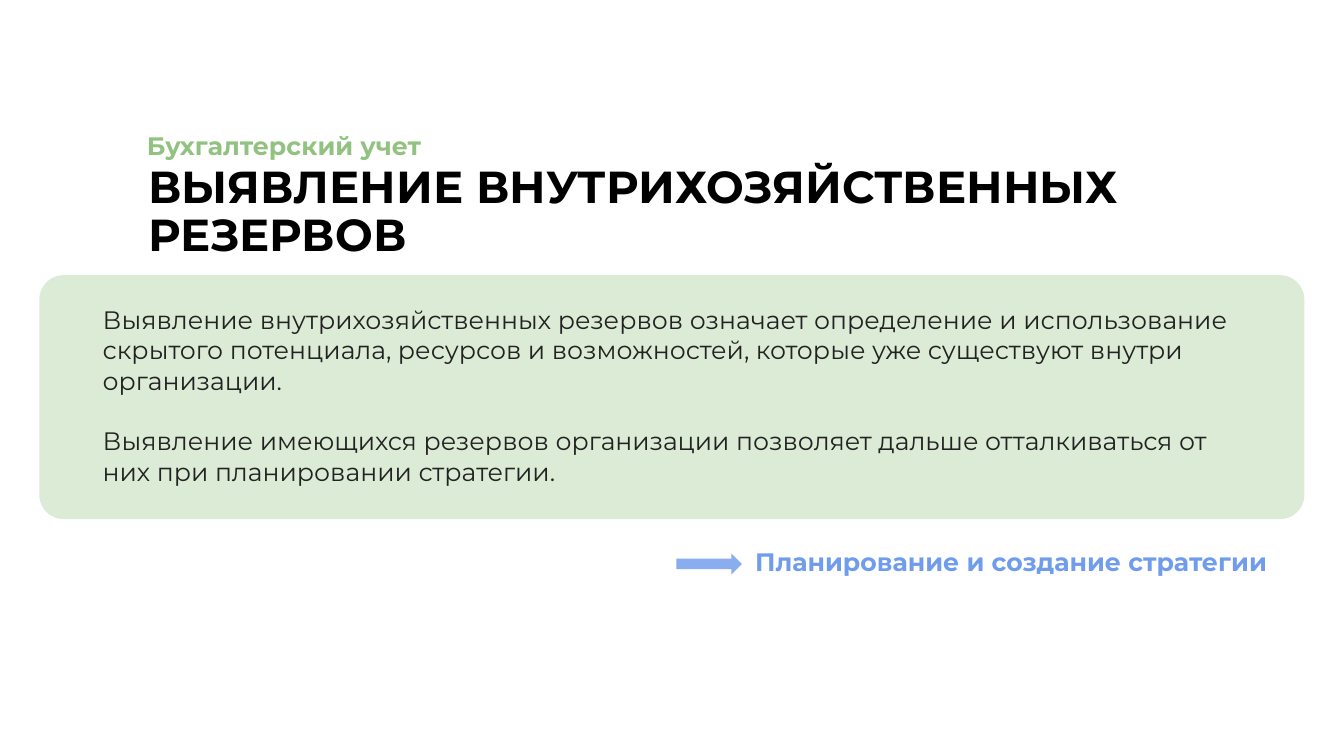
"""Build the slide on finding a firm's internal reserves."""
from pptx import Presentation
from pptx.dml.color import RGBColor
from pptx.enum.shapes import MSO_SHAPE
from pptx.enum.text import MSO_ANCHOR, MSO_AUTO_SIZE, PP_ALIGN
from pptx.util import Pt

BLACK = RGBColor(0x00, 0x00, 0x00)
DARK = RGBColor(0x22, 0x22, 0x22)
GREEN = RGBColor(0x91, 0xC2, 0x80)
PALE = RGBColor(0xDB, 0xEB, 0xD5)
BLUE = RGBColor(0x70, 0x9C, 0xEC)
SKY = RGBColor(0x89, 0xAD, 0xEF)
LEFT, RIGHT = PP_ALIGN.LEFT, PP_ALIGN.RIGHT
MIDDLE, TOP = MSO_ANCHOR.MIDDLE, MSO_ANCHOR.TOP
NONE = MSO_AUTO_SIZE.NONE
ROUND, ARROW = MSO_SHAPE.ROUNDED_RECTANGLE, MSO_SHAPE.RIGHT_ARROW


def write(box, lines, size, color, bold=True, align=LEFT, anchor=MIDDLE,
          pads=(7.2, 7.2), pitch=0.9, gap=0):
    frame = box.text_frame
    frame.word_wrap = True
    frame.auto_size = NONE
    frame.vertical_anchor = anchor
    frame.margin_left = frame.margin_right = Pt(pads[0])
    frame.margin_top = frame.margin_bottom = Pt(pads[1])
    frame.text = "\n".join(lines)
    for i, para in enumerate(frame.paragraphs):
        para.alignment = align
        para.line_spacing = pitch
        para.space_before = Pt(gap if i else 0)
        para.font.name = "Montserrat"
        para.font.size = Pt(size)
        para.font.bold = bold
        para.font.color.rgb = color


def draw(kind, left, top, width, height, fill):
    shape = slide.shapes.add_shape(kind, Pt(left), Pt(top), Pt(width), Pt(height))
    shape.shadow.inherit = False
    shape.fill.solid()
    shape.fill.fore_color.rgb = fill
    shape.line.fill.background()
    return shape


deck = Presentation()
deck.slide_width, deck.slide_height = Pt(960), Pt(540)
slide = deck.slides.add_slide(deck.slide_layouts[5])

title = slide.shapes.title
title.left, title.top = Pt(98.64), Pt(121.68)
title.width, title.height = Pt(750.96), Pt(60.48)
write(title, ["ВЫЯВЛЕНИЕ ВНУТРИХОЗЯЙСТВЕННЫХ РЕЗЕРВОВ"], 32, BLACK)

panel = draw(ROUND, 28.08, 196.56, 903.6, 174.24, PALE)
panel.adjustments[0] = 0.1

body = slide.shapes.add_textbox(Pt(66.24), Pt(213.84), Pt(826.56), Pt(138.24))
write(body, [
    "Выявление внутрихозяйственных резервов означает определение и "
    "использование скрытого потенциала, ресурсов и возможностей, которые "
    "уже существуют внутри организации.",
    "Выявление имеющихся резервов организации позволяет дальше "
    "отталкиваться от них при планировании стратегии.",
], 18, DARK, bold=False, anchor=TOP, pads=(7.2, 3.6), pitch=1, gap=21.9)

topic = slide.shapes.add_textbox(Pt(97.92), Pt(90.72), Pt(375.84), Pt(28.8))
write(topic, ["Бухгалтерский учет"], 18, GREEN)

draw(ARROW, 483.12, 395.28, 46.8, 15.12, SKY)

goal = slide.shapes.add_textbox(Pt(506.16), Pt(383.04), Pt(411.12), Pt(38.88))
write(goal, ["Планирование и создание стратегии "], 18, BLUE, align=RIGHT)

deck.save("out.pptx")
